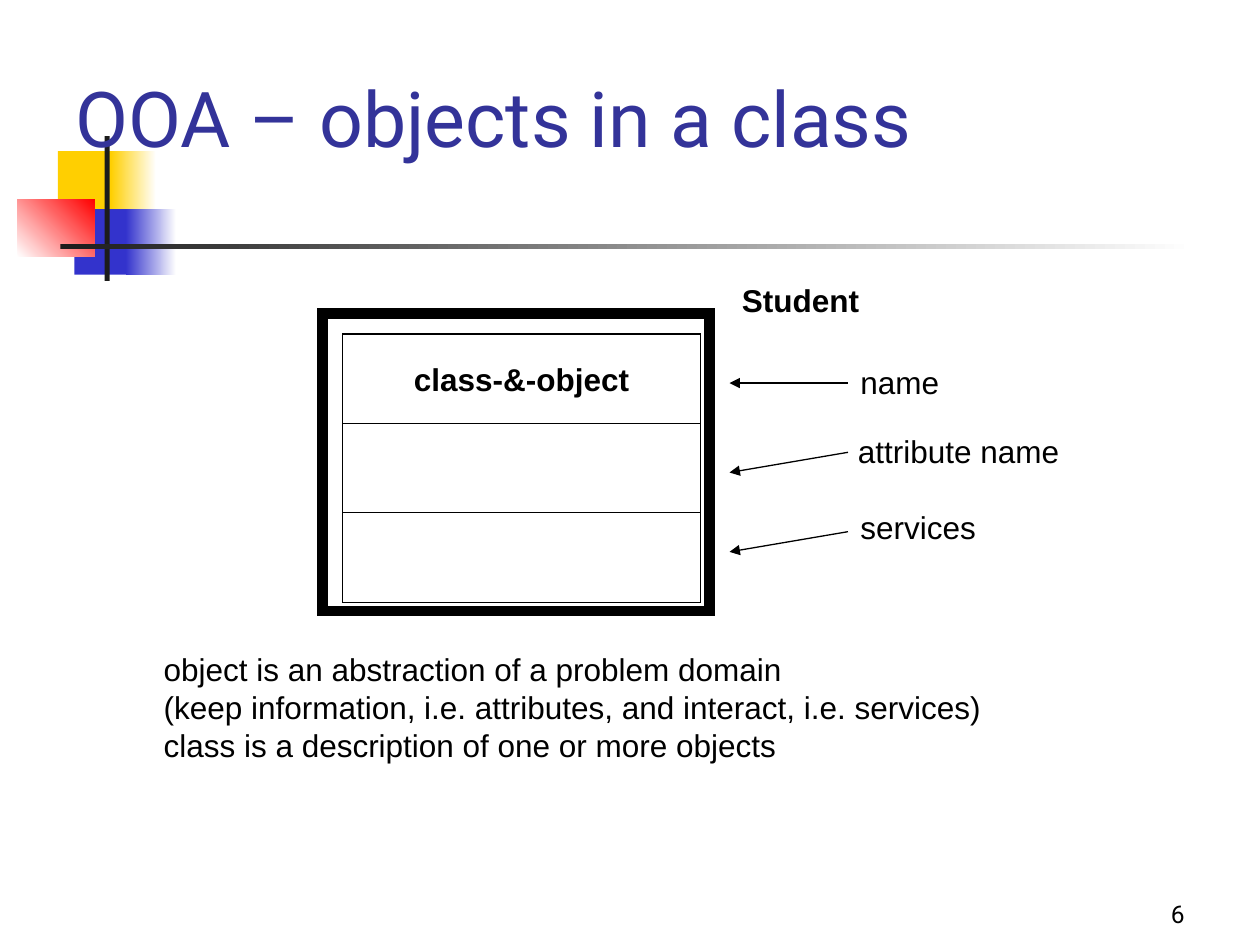
from pptx import Presentation
from pptx.dml.color import RGBColor
from pptx.enum import shapes, text
from pptx.oxml import ns, xmlchemy
from pptx.util import Inches, Pt

BLACK = RGBColor(0x00, 0x00, 0x00)
WHITE = RGBColor(0xFF, 0xFF, 0xFF)
DARK = RGBColor(0x1C, 0x1C, 0x1C)
GOLD = RGBColor(0xFF, 0xCF, 0x01)
BLUE = RGBColor(0x33, 0x33, 0xCC)
RED = RGBColor(0xFF, 0x00, 0x00)
NAVY = RGBColor(0x33, 0x33, 0x99)

LEFT, CENTER, RIGHT = (text.PP_ALIGN.LEFT, text.PP_ALIGN.CENTER,
                       text.PP_ALIGN.RIGHT)
TOP, MIDDLE, BOTTOM = (text.MSO_ANCHOR.TOP, text.MSO_ANCHOR.MIDDLE,
                       text.MSO_ANCHOR.BOTTOM)
FIXED, GROW = (text.MSO_AUTO_SIZE.NONE,
               text.MSO_AUTO_SIZE.SHAPE_TO_FIT_TEXT)


def write(frame, words, size=18, font="Arial", color=BLACK, bold=False,
          align=LEFT, anchor=TOP, wrap=False, fit=GROW):
    """Fill a text frame, one paragraph for each line of words."""
    frame.text = words
    frame.word_wrap = wrap
    frame.auto_size = fit
    frame.vertical_anchor = anchor
    for para in frame.paragraphs:
        para.alignment = align
        para.font.size = Pt(size)
        para.font.name = font
        para.font.bold = bold
        para.font.color.rgb = color


def label(slide, box, words, **style):
    """Add a text box; box is left, top, width, height in inches."""
    item = slide.shapes.add_textbox(*map(Inches, box))
    write(item.text_frame, words, **style)


def extend(item, name, **attrs):
    """Add a child element to the line of a shape or connector."""
    child = xmlchemy.OxmlElement(name)
    for key, value in attrs.items():
        child.set(key, value)
    item._element.spPr.find(ns.qn("a:ln")).append(child)


def block(slide, box, fill=None, fade=None, angle=0, line=None):
    """Add a rectangle: solid, fading from fill to fade, or outlined."""
    rect = slide.shapes.add_shape(shapes.MSO_SHAPE.RECTANGLE,
                                  *map(Inches, box))
    rect.shadow.inherit = False
    if fade is not None:
        rect.fill.gradient()
        rect.fill.gradient_angle = angle
        for stop, color in zip(rect.fill.gradient_stops, (fill, fade)):
            stop.color.rgb = color
    elif fill is not None:
        rect.fill.solid()
        rect.fill.fore_color.rgb = fill
    else:
        rect.fill.background()
    if line:
        rect.line.color.rgb = BLACK
        rect.line.width = Pt(line)
        extend(rect, "a:miter", lim="800000")
    else:
        rect.line.fill.background()
    return rect


def arrow(slide, start, end):
    """Add a thin line with an arrowhead at its end."""
    link = slide.shapes.add_connector(shapes.MSO_CONNECTOR.STRAIGHT,
                                      *map(Inches, start + end))
    link.line.color.rgb = BLACK
    link.line.width = Pt(0.75)
    extend(link, "a:tailEnd", type="triangle")
    link._element.spPr.append(xmlchemy.OxmlElement("a:effectLst"))


def decor(slide):
    """Draw the coloured squares and the crossing bars."""
    block(slide, (0.46, 1.2, 0.48, 0.52), GOLD)
    block(slide, (0.88, 1.2, 0.36, 0.52), GOLD, WHITE)
    block(slide, (0.59, 1.66, 0.46, 0.52), BLUE)
    block(slide, (1, 1.66, 0.4, 0.52), BLUE, WHITE)
    block(slide, (0.14, 1.58, 0.61, 0.46), WHITE, RED, angle=45)
    block(slide, (0.83, 1.08, 0.04, 1.15), DARK)
    block(slide, (0.48, 1.94, 9, 0.04), DARK, WHITE)


def diagram(slide):
    """Draw the framed class box with its three compartments."""
    block(slide, (2.56, 2.49, 3.07, 2.36), line=6)
    high = 0.71
    cells = [block(slide, (2.72, 2.65 + row * high, 2.84, high), line=0.75)
             for row in range(3)]
    write(cells[0].text_frame, "class-&-object", bold=True,
          align=CENTER, anchor=MIDDLE, fit=FIXED)


def notes(slide):
    """Name the parts of the class box and point to them."""
    label(slide, (5.79, 2.18, 1.15, 0.4), "Student", bold=True)
    # words, left, top, width, arrow start, arrow end
    parts = [("name", 6.73, 2.83, 0.85, 3.04, 3.04),
             ("attribute name", 6.71, 3.38, 1.82, 3.59, 3.75),
             ("services", 6.73, 3.98, 1.15, 4.22, 4.38)]
    for words, left, top, wide, start, end in parts:
        label(slide, (left, top, wide, 0.4), words)
        arrow(slide, (6.73, start), (5.79, end))


def main():
    deck = Presentation()
    deck.slide_width, deck.slide_height = Inches(10), Inches(7.5)
    slide = deck.slides.add_slide(deck.slide_layouts[6])

    decor(slide)

    # Slide number and title
    label(slide, (7.42, 6.92, 2.08, 0.5), "6", size=14, font="Roboto",
          align=RIGHT, anchor=BOTTOM, wrap=True, fit=FIXED)
    label(slide, (0.5, 0.3, 9, 1.25), "OOA – objects in a class", size=44,
          font="Roboto", color=NAVY, anchor=MIDDLE, wrap=True, fit=FIXED)

    diagram(slide)
    notes(slide)

    # Definitions
    label(slide, (1.2, 5.11, 6.69, 1),
          "object is an abstraction of a problem domain\n"
          "(keep information, i.e. attributes, and interact, i.e. services)\n"
          "class is a description of one or more objects")

    deck.save("out.pptx")


if __name__ == "__main__":
    main()
